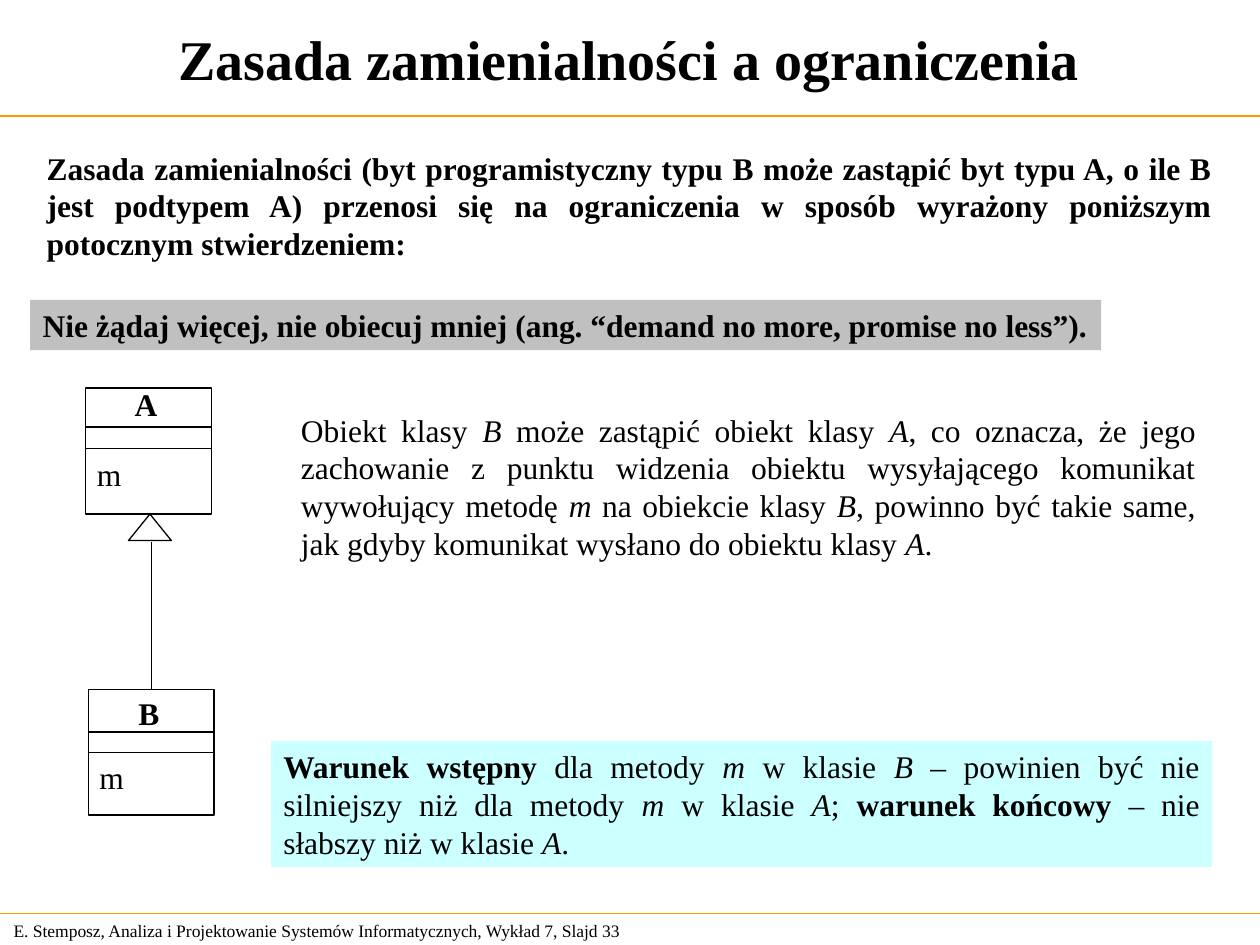
from dataclasses import dataclass

from lxml.etree import SubElement
from pptx import Presentation
from pptx.dml.color import RGBColor as RGB
from pptx.enum.shapes import MSO_CONNECTOR as CONN, MSO_SHAPE as SHAPE
from pptx.enum.text import MSO_ANCHOR as ANCHOR, MSO_AUTO_SIZE as FIT, PP_ALIGN as ALIGN
from pptx.oxml.ns import qn
from pptx.util import Inches, Pt

COLUMNS, ROWS = 100, 75


@dataclass(frozen=True)
class Theme:
    font: str = "Times New Roman"
    ink: RGB = RGB(0, 0, 0)
    rule: RGB = RGB(0xFF, 0x99, 0x00)
    quote: RGB = RGB(0xC0, 0xC0, 0xC0)
    note: RGB = RGB(0xCC, 0xFF, 0xFF)
    title_size: int = 32
    body_size: int = 18
    footer_size: int = 10
    line: float = 0.75


class Deck:
    """Holds the theme and the current slide; lengths are grid columns and rows."""

    def __init__(self, theme):
        self.theme = theme
        self.prs = Presentation()
        self.prs.slide_width, self.prs.slide_height = Inches(10), Inches(7.5)
        self.slide = self.prs.slides.add_slide(self.prs.slide_layouts[1])
        self.shapes = self.slide.shapes

    def grid(self, *lengths):
        """Turn alternating column and row counts into slide lengths."""
        units = (self.prs.slide_width / COLUMNS, self.prs.slide_height / ROWS)
        return [round(n * units[i % 2]) for i, n in enumerate(lengths)]

    def fill_text(self, sp, text, size=None, align=ALIGN.LEFT, anchor=ANCHOR.TOP, wrap=True):
        """Fill a shape with one paragraph; *bold* and _italic_ are marked inline."""
        tf = sp.text_frame
        tf.auto_size, tf.word_wrap, tf.vertical_anchor = FIT.NONE, wrap, anchor
        p = tf.paragraphs[0]
        p.alignment, p.space_before = align, Pt(0)
        for i, chunk in enumerate(text.split("*")):
            for j, piece in enumerate(chunk.split("_")):
                if piece:
                    r = p.add_run()
                    r.text = piece
                    r.font.name, r.font.size = self.theme.font, Pt(size or self.theme.body_size)
                    r.font.color.rgb = self.theme.ink
                    r.font.bold, r.font.italic = i % 2 == 1, j % 2 == 1

    def placeholder(self, index, box, text, **style):
        sp = self.slide.placeholders[index]
        sp.left, sp.top, sp.width, sp.height = self.grid(*box)
        if index:
            pPr = sp.text_frame.paragraphs[0]._p.get_or_add_pPr()
            pPr.set("marL", "0")
            pPr.set("indent", "0")
            SubElement(pPr, qn("a:buNone"))
        self.fill_text(sp, text, **style)

    def text(self, box, text, **style):
        self.fill_text(self.shapes.add_textbox(*self.grid(*box)), text, **style)

    def panel(self, box, fill, text, **style):
        sp = self.shapes.add_shape(SHAPE.RECTANGLE, *self.grid(*box))
        sp.shadow.inherit = False
        sp.fill.solid()
        sp.fill.fore_color.rgb = fill
        sp.line.fill.background()
        self.fill_text(sp, text, **style)

    def outline(self, kind, box):
        sp = self.shapes.add_shape(kind, *self.grid(*box))
        sp.shadow.inherit = False
        sp.fill.background()
        sp.line.color.rgb, sp.line.width = self.theme.ink, Pt(self.theme.line)

    def line(self, ends, color=None):
        sp = self.shapes.add_connector(CONN.STRAIGHT, *self.grid(*ends))
        sp.line.color.rgb, sp.line.width = color or self.theme.ink, Pt(self.theme.line)
        SubElement(sp._element.spPr, qn("a:effectLst"))

    def uml_class(self, col, row, name, name_at, dividers, method):
        """Square class box with name, empty attribute strip and one method."""
        side = 10
        self.outline(SHAPE.RECTANGLE, (col, row, side, side))
        for offset in dividers:
            self.line((col, row + offset, col + side, row + offset))
        self.text((*name_at, 3.7, 4), f"*{name}*", wrap=False)
        self.text((col - 0.1, row + dividers[-1], 3.9, 4), method, wrap=False)


def main():
    theme = Theme()
    deck = Deck(theme)

    # Footer and the two rules that frame the content
    deck.text((0.1, 72.5, 52.4, 2.7),
              "E. Stemposz, Analiza i Projektowanie Systemów Informatycznych, Wykład 7, Slajd 33",
              size=theme.footer_size, anchor=ANCHOR.MIDDLE)
    for row in (9.2, 72.5):
        deck.line((0, row, COLUMNS, row), theme.rule)

    # Title and introduction
    deck.placeholder(0, (0, 0, 99.9, 9.2), "*Zasada zamienialności a ograniczenia*",
                     size=theme.title_size, align=ALIGN.CENTER, anchor=ANCHOR.MIDDLE)
    deck.placeholder(1, (2.7, 11.3, 94.5, 10),
                     "*Zasada zamienialności (byt programistyczny typu B może zastąpić byt typu A, "
                     "o ile B jest podtypem A) przenosi się na ograniczenia w sposób wyrażony "
                     "poniższym potocznym stwierdzeniem:*", align=ALIGN.JUSTIFY)

    # Principle
    deck.panel((2.4, 23.8, 85, 4), theme.quote,
               "*Nie żądaj więcej, nie obiecuj mniej (ang. “demand no more, promise no less”).*",
               wrap=False)

    # Class diagram: B inherits from A
    deck.uml_class(6.8, 30.8, "A", (9.7, 30.1), (3.1, 4.8), "m")
    deck.outline(SHAPE.FLOWCHART_EXTRACT, (10.2, 40.8, 3.4, 2.1))
    deck.line((12, 43, 12, 54.7))
    deck.uml_class(7, 54.7, "B", (10, 54.6), (3.4, 5), "m")

    # Explanation and conclusion
    deck.panel((21.5, 58.8, 74.7, 10), theme.note,
               "*Warunek wstępny* dla metody _m_ w klasie _B_ – powinien być nie silniejszy niż "
               "dla metody _m_ w klasie _A_; *warunek końcowy* – nie słabszy niż w klasie _A_.",
               align=ALIGN.JUSTIFY)
    deck.text((22.9, 32.1, 73, 13),
              "Obiekt klasy _B_ może zastąpić obiekt klasy _A_, co oznacza, że jego zachowanie "
              "z punktu widzenia obiektu wysyłającego komunikat wywołujący metodę _m _na obiekcie "
              "klasy _B_, powinno być takie same, jak gdyby komunikat wysłano do obiektu "
              "klasy _A_.", align=ALIGN.JUSTIFY)

    deck.prs.save("out.pptx")


if __name__ == "__main__":
    main()
